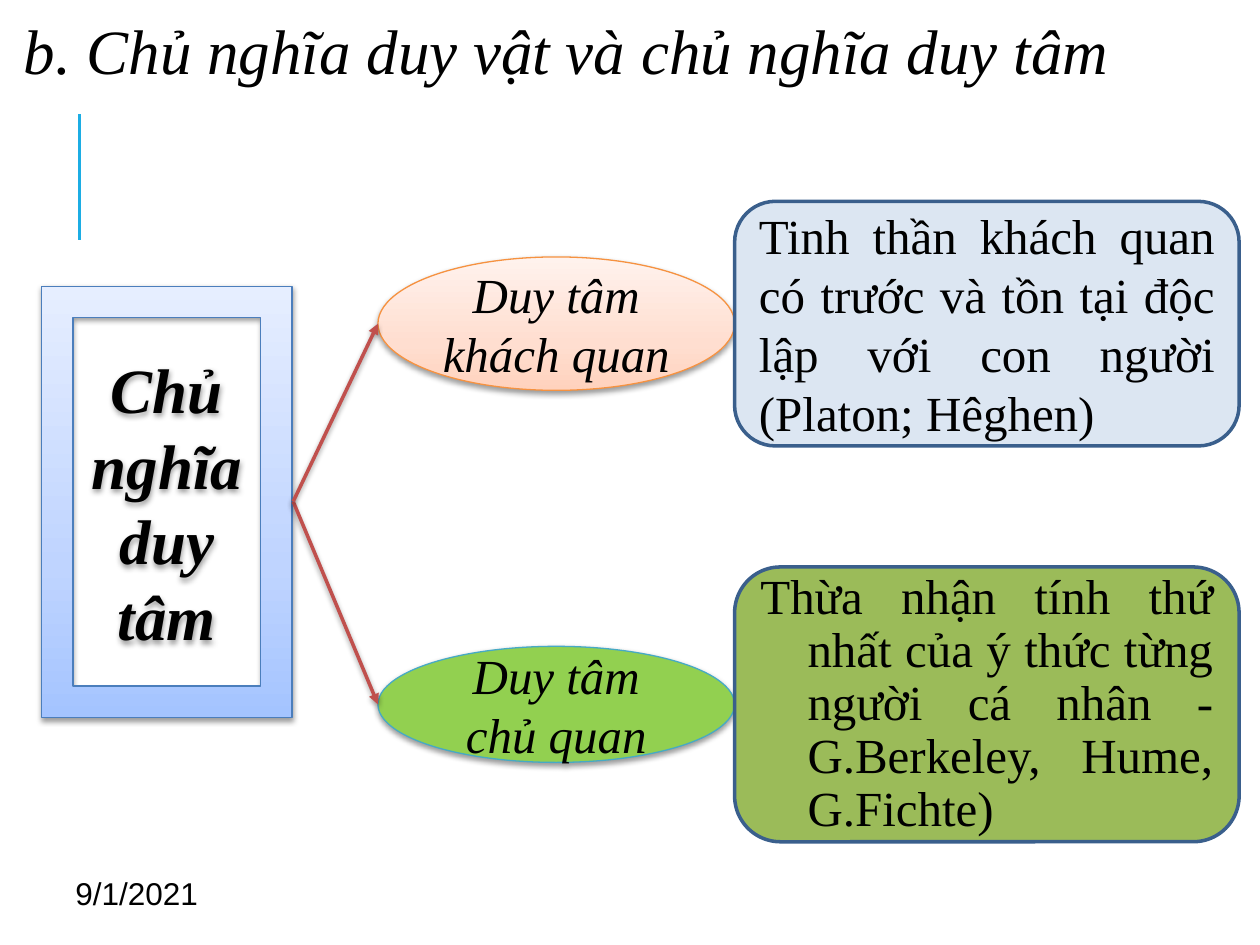
from lxml.etree import SubElement
from pptx import Presentation
from pptx.dml.color import RGBColor
from pptx.enum.shapes import MSO_CONNECTOR, MSO_SHAPE
from pptx.enum.text import MSO_ANCHOR, PP_ALIGN
from pptx.oxml.ns import qn
from pptx.util import Cm, Pt

SERIF = "Times New Roman"


def rgb(value):
    """Turn a hex string into a colour."""
    return RGBColor.from_string(value)


def add_shadow(parent):
    """Give an element a soft shadow that falls downwards."""
    effects = parent.find(qn("a:effectLst"))
    if effects is None:
        effects = SubElement(parent, qn("a:effectLst"))
    shadow = SubElement(effects, qn("a:outerShdw"), blurRad="40000",
                        dist="20000", dir="5400000", rotWithShape="0")
    color = SubElement(shadow, qn("a:srgbClr"), val="000000")
    SubElement(color, qn("a:alpha"), val="38000")


def fill_gradient(sp, colors):
    """Fill a shape with a three-stop gradient rising from the bottom."""
    sp.fill.gradient()
    sp.fill.gradient_angle = 90
    stops = sp._element.spPr.find(".//" + qn("a:gsLst"))
    for stop in list(stops):
        stops.remove(stop)
    for pos, value in zip((0, 35000, 100000), colors):
        stop = SubElement(stops, qn("a:gs"), pos=str(pos))
        SubElement(stop, qn("a:srgbClr"), val=value)


def write(sp, text, size, font=SERIF, align=PP_ALIGN.LEFT, bold=False, italic=False):
    """Write one vertically centred paragraph and return it."""
    tf = sp.text_frame
    tf.word_wrap = True
    tf.vertical_anchor = MSO_ANCHOR.MIDDLE
    p = tf.paragraphs[0]
    p.text = text
    p.alignment = align
    p.font.name, p.font.size = font, Pt(size)
    p.font.bold, p.font.italic = bold, italic
    p.font.color.rgb = rgb("000000")
    return p


def add_text(s, box, text, size, **style):
    """Add a text box and return its paragraph."""
    return write(s.shapes.add_textbox(*map(Cm, box)), text, size, **style)


def add_box(s, kind, box, fill, line, width, text, size, shadow=False, **style):
    """Add a filled shape with text and return its paragraph."""
    sp = s.shapes.add_shape(kind, *map(Cm, box))
    sp.shadow.inherit = False
    if isinstance(fill, str):
        sp.fill.solid()
        sp.fill.fore_color.rgb = rgb(fill)
    else:
        fill_gradient(sp, fill)
    sp.line.color.rgb = rgb(line)
    sp.line.width = Pt(width)
    if shadow:
        add_shadow(sp._element.spPr)
    return write(sp, text, size, **style)


def add_line(s, start, end, color, width, arrow=False):
    """Add a straight line, or a shadowed arrow."""
    cx = s.shapes.add_connector(MSO_CONNECTOR.STRAIGHT, *map(Cm, start + end))
    cx.line.color.rgb = rgb(color)
    cx.line.width = Pt(width)
    SubElement(cx._element.spPr, qn("a:effectLst"))
    if arrow:
        SubElement(cx.line._get_or_add_ln(), qn("a:tailEnd"), type="triangle")
        add_shadow(cx._element.spPr)


def main():
    """Build the slide on idealism and its two branches."""
    prs = Presentation()
    prs.slide_width, prs.slide_height = Cm(25.4), Cm(19.05)
    s = prs.slides.add_slide(prs.slide_layouts[6])

    add_line(s, (1.6, 4.83), (1.6, 2.29), "1CADE4", 1.5)
    title = add_text(s, (0.23, 0.15, 24.77, 1.9),
                     "b. Chủ nghĩa duy vật và chủ nghĩa duy tâm", 36, italic=True)
    title.line_spacing = 0.9
    add_text(s, (1.27, 17.35, 5.92, 1.32), "9/1/2021", 18, font="Arial")

    branches = (
        ("Duy tâm chủ quan", 13.03, 2.34, "92D050", "46AAC5"),
        ("Duy tâm khách quan", 5.18, 2.69, ("FFD2BD", "FFDED0", "FFF2ED"), "F69240"),
    )
    for text, top, height, fill, line in branches:
        add_box(s, MSO_SHAPE.OVAL, (7.62, top, 7.19, height), fill, line, 0.75,
                text, 28, shadow=True, align=PP_ALIGN.CENTER, italic=True)

    root = add_box(s, MSO_SHAPE.FRAME, (0.84, 5.77, 5.05, 8.69),
                   ("A4C4FF", "BFD4FF", "E6EEFF"), "4B7EBC", 0.75,
                   "Chủ nghĩa duy tâm", 36, shadow=True,
                   align=PP_ALIGN.CENTER, bold=True, italic=True)
    add_shadow(root.runs[0]._r.get_or_add_rPr())

    details = (
        ("Tinh thần khách quan có trước và tồn tại độc lập với con người "
         "(Platon; Hêghen)", 4.06, 4.93, "DCE6F2"),
        ("Thừa nhận tính thứ nhất của ý thức từng người cá nhân - "
         "G.Berkeley, Hume, G.Fichte)", 11.43, 5.54, "9BBB59"),
    )
    for text, top, height, fill in details:
        p = add_box(s, MSO_SHAPE.ROUNDED_RECTANGLE, (14.81, top, 10.17, height),
                    fill, "3A5F8C", 2, text, 28, align=PP_ALIGN.JUSTIFY)
    p.line_spacing = 0.9
    pPr = p._p.get_or_add_pPr()
    pPr.set("marL", str(Cm(0.95)))
    pPr.set("indent", str(-Cm(0.95)))

    for _, top, height, _, _ in branches:
        add_line(s, (5.91, 10.11), (7.62, top + height / 2), "C0504D", 2, arrow=True)

    prs.save("out.pptx")


if __name__ == "__main__":
    main()
